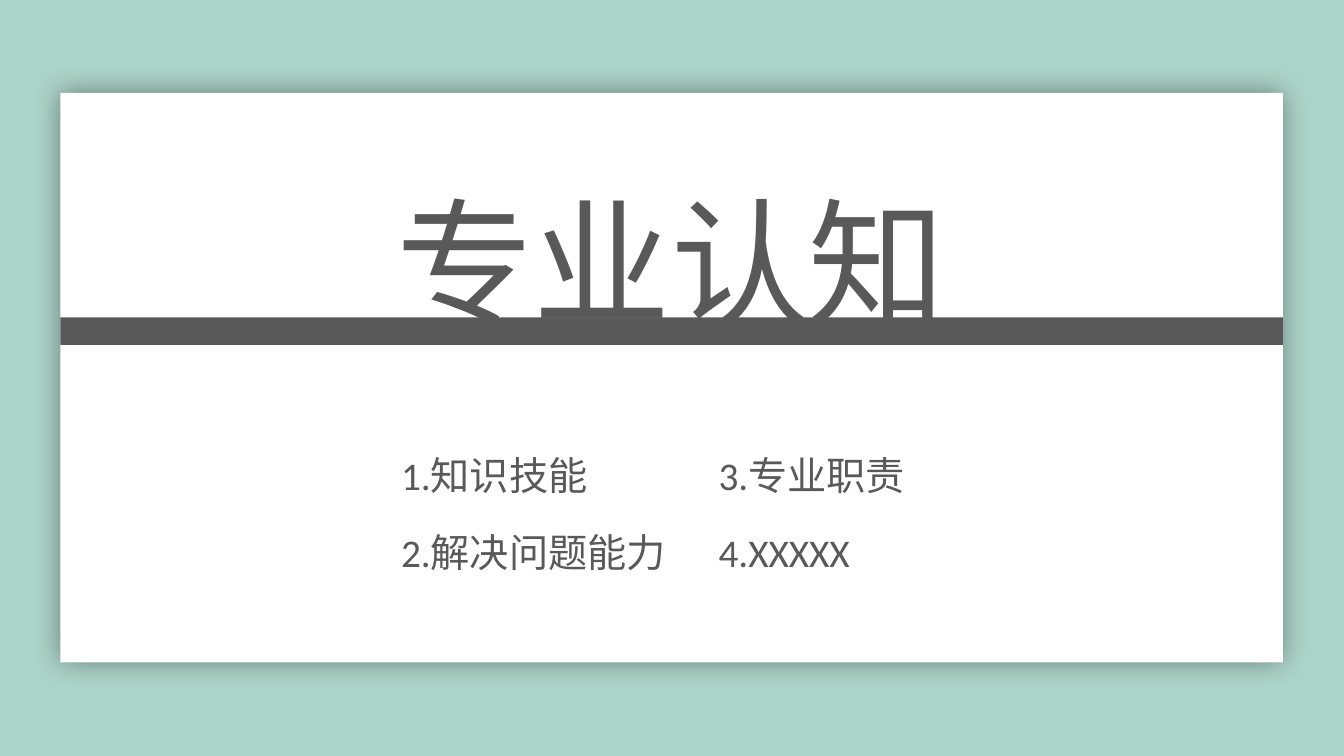
from lxml import etree
from pptx import Presentation
from pptx.dml.color import RGBColor
from pptx.enum.shapes import MSO_SHAPE
from pptx.enum.text import MSO_ANCHOR, MSO_AUTO_SIZE, PP_ALIGN
from pptx.oxml import parse_xml
from pptx.oxml.ns import nsdecls, qn
from pptx.util import Cm, Pt

FONT = "Calibri"
MINT, WHITE, GRAY = "ADD4CA", "FFFFFF", "595959"
TOPICS = [
    [("1.知识技能", 6.27), ("2.解决问题能力", 8)],
    [("3.专业职责", 6.27), ("4.XXXXX", 6.27)],
]


def paint(fill, color):
    fill.solid()
    fill.fore_color.rgb = RGBColor.from_string(color)


def write(shape, text, size, color=GRAY, align=PP_ALIGN.LEFT, anchor=MSO_ANCHOR.TOP):
    frame = shape.text_frame
    frame.word_wrap = True
    frame.auto_size = MSO_AUTO_SIZE.SHAPE_TO_FIT_TEXT
    frame.vertical_anchor = anchor
    paragraph = frame.paragraphs[0]
    paragraph.alignment = align
    run = paragraph.add_run()
    run.text = text
    run.font.name = FONT
    run.font.size = Pt(size)
    paint(run.font.fill, color)
    return run


def add_panel(slide, left, top, width, height, color):
    panel = slide.shapes.add_shape(
        MSO_SHAPE.RECTANGLE, Cm(left), Cm(top), Cm(width), Cm(height))
    panel.shadow.inherit = False
    paint(panel.fill, color)
    panel.line.fill.background()
    return panel


def add_glow_shadow(shape, blur, opacity):
    """Surround the shape with an even, soft black shadow."""
    effects = shape.element.spPr.find(qn("a:effectLst"))
    effects.append(parse_xml(
        f'<a:outerShdw {nsdecls("a")} blurRad="{Pt(blur)}" dist="0" dir="0"'
        f' algn="ctr" rotWithShape="0"><a:srgbClr val="000000">'
        f'<a:alpha val="{opacity * 1000}"/></a:srgbClr></a:outerShdw>'))


def outline_text(run, color, width):
    line = etree.Element(qn("a:ln"), w=str(Pt(width)))
    fill = etree.SubElement(line, qn("a:solidFill"))
    etree.SubElement(fill, qn("a:srgbClr"), val=color)
    run.font._element.insert(0, line)


def add_card(slide, left, top, width, height):
    card = add_panel(slide, left, top, width, height, WHITE)
    add_glow_shadow(card, blur=20, opacity=40)
    add_panel(slide, left, top + 5.66, width, 0.69, GRAY)


def place_title(slide, text, left, top, width, height):
    title = slide.shapes.title
    title.left, title.top = Cm(left), Cm(top)
    title.width, title.height = Cm(width), Cm(height)
    run = write(title, text, 98, align=PP_ALIGN.CENTER, anchor=MSO_ANCHOR.MIDDLE)
    outline_text(run, GRAY, 0.75)
    # The title stands in front of the card.
    slide.shapes._spTree.append(title.element)


def add_topics(slide, columns, left, top, column_step, row_step):
    group = slide.shapes.add_group_shape()
    for column, topics in enumerate(columns):
        for row, (text, width) in enumerate(topics):
            box = group.shapes.add_textbox(
                Cm(left + column * column_step), Cm(top + row * row_step),
                Cm(width), Cm(1.45))
            write(box, text, 28)


def build_section_slide(presentation):
    slide = presentation.slides.add_slide(presentation.slide_layouts[5])
    paint(slide.background.fill, MINT)
    add_card(slide, 1.52, 2.34, 30.81, 14.35)
    place_title(slide, "专业认知", 9.32, 4.32, 15.19, 4.45)
    add_topics(slide, TOPICS, 9.86, 11.25, column_step=8, row_step=1.93)


def main():
    presentation = Presentation()
    presentation.slide_width, presentation.slide_height = Cm(33.87), Cm(19.05)
    build_section_slide(presentation)
    presentation.save("out.pptx")


if __name__ == "__main__":
    main()
